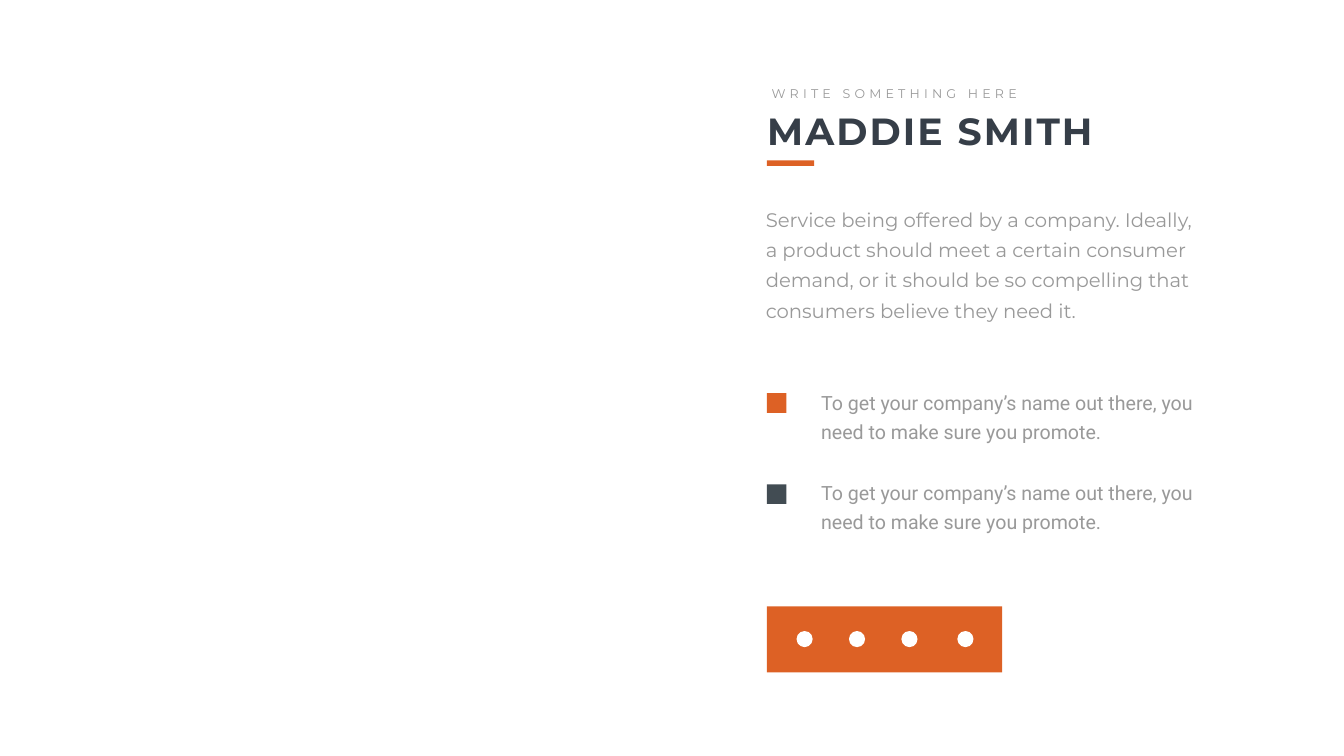
"""Build a profile slide with a name, a short text, two points and an icon bar."""
import pptx
import pptx.dml.color
import pptx.enum.shapes
import pptx.enum.text
import pptx.util

PX = 9144
KIND = pptx.enum.shapes.MSO_SHAPE
ORANGE, SLATE, GREY, WHITE = "DD6125", "424C53", "999999", "FFFFFF"


def paint(item, color, kind=KIND.RECTANGLE):
    shape = page.shapes.add_shape(kind, *[n * PX for n in item])
    shape.shadow.inherit = False
    shape.fill.solid()
    shape.fill.fore_color.rgb = pptx.dml.color.RGBColor.from_string(color)
    shape.line.fill.background()


def write(item, text, face, size, color=GREY, bold=False, gap=0, lead=None, wrap=True, inset=(10, 5)):
    box = page.shapes.add_textbox(*[n * PX for n in item])
    frame = box.text_frame
    side, edge = [n * PX for n in inset]
    form = {
        "word_wrap": wrap,
        "auto_size": pptx.enum.text.MSO_AUTO_SIZE.SHAPE_TO_FIT_TEXT,
        "margin_left": side, "margin_right": side,
        "margin_top": edge, "margin_bottom": edge,
    }
    for key, value in form.items():
        setattr(frame, key, value)
    para = frame.paragraphs[0]
    if lead:
        para.line_spacing = pptx.util.Pt(lead)
    run = para.add_run()
    run.text = text
    for key, value in {"name": face, "size": pptx.util.Pt(size), "bold": bold}.items():
        setattr(run.font, key, value)
    run.font.color.rgb = pptx.dml.color.RGBColor.from_string(color)
    if gap:
        run.font._element.set("spc", str(gap * 100))


deck = pptx.Presentation()
deck.slide_width, deck.slide_height = 2666 * PX, 1500 * PX
page = deck.slides.add_slide(deck.slide_layouts[6])
page.background.fill.solid()
page.background.fill.fore_color.rgb = pptx.dml.color.RGBColor.from_string(WHITE)

paint((1521, 1203, 467, 131), ORANGE)
for mid in (1596, 1700, 1804, 1915):
    paint((mid - 16, 1252, 32, 32), WHITE, KIND.OVAL)

write((1512, 209, 724, 101), "MADDIE SMITH", "Montserrat", 54, "363E48", bold=True, gap=3)
write((1521, 166, 518, 40), "WRITE SOMETHING HERE", "Montserrat", 18, gap=6, wrap=False)
paint((1521, 318, 94, 11), ORANGE)
write(
    (1495, 388, 904, 260),
    "Service being offered by a company. Ideally, a product should meet a certain consumer "
    "demand, or it should be so compelling that consumers believe they need it.",
    "Montserrat", 28, lead=43, inset=(24, 12),
)

for row, color in enumerate((ORANGE, SLATE)):
    top = 761 + 179 * row
    write(
        (1619, top, 780, 121),
        "To get your company’s name out there, you need to make sure you promote.",
        "Roboto", 28, lead=40.8,
    )
    paint((1521, 780 + 181 * row, 39, 39), color)

deck.save("out.pptx")
